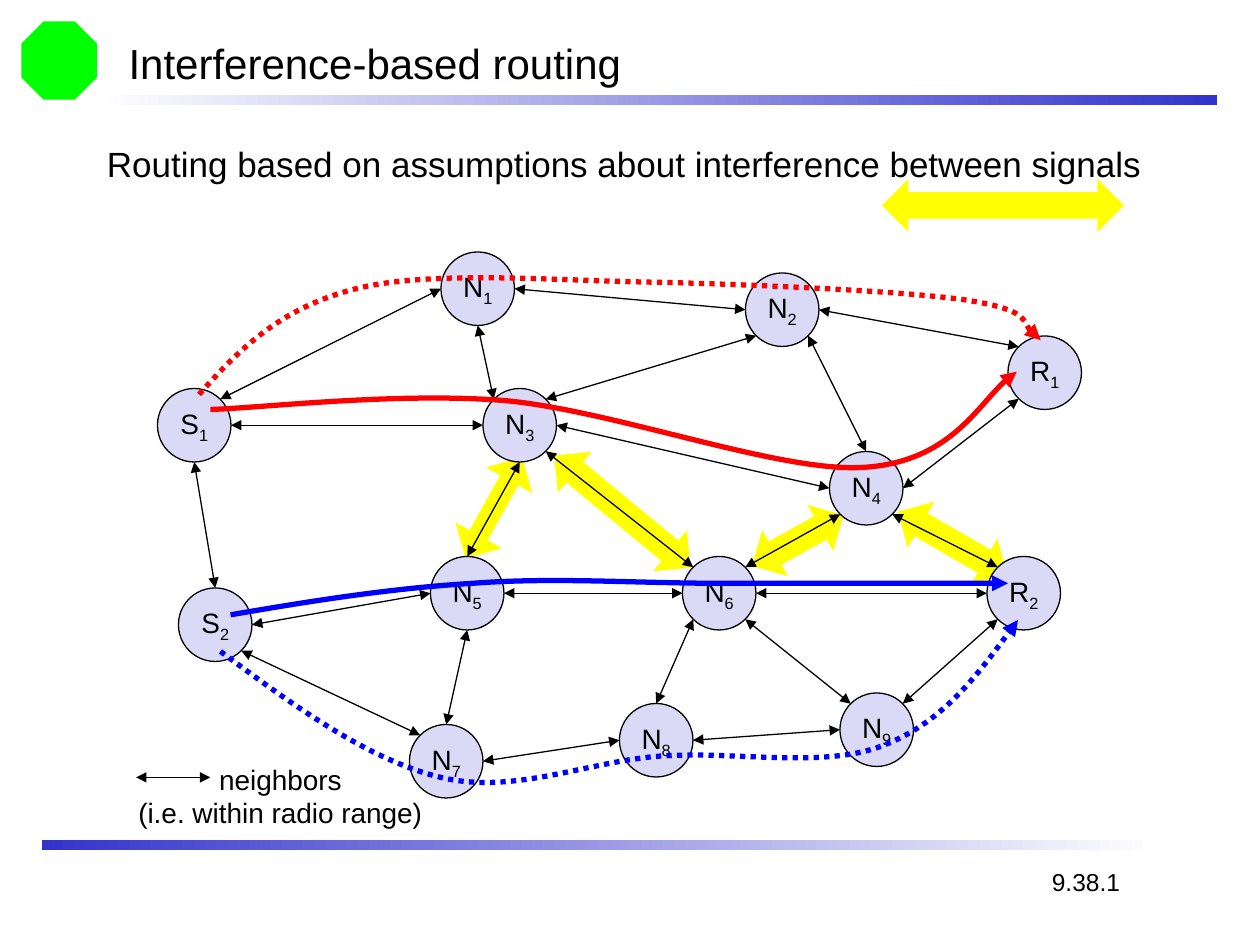
import pptx
import pptx.util
import pptx.dml.color
import pptx.enum.dml
import pptx.enum.shapes
import pptx.enum.text
import pptx.oxml
import pptx.oxml.ns
from pptx.util import Inches

COLORS = {
    "text": "000000", "rule": "3333CC", "fade": "FEFEFE", "logo": "00FF00",
    "node": "DADAF6", "interference": "FFFF00", "first": "FF0000", "second": "0000FF",
}
FONT = "Arial"
SHAPE = pptx.enum.shapes.MSO_SHAPE
ANCHOR = pptx.enum.text.MSO_ANCHOR
ALIGN = pptx.enum.text.PP_ALIGN
DOTTED = pptx.enum.dml.MSO_LINE.ROUND_DOT

# Nodes sit on a grid of twelfths of an inch
GRID = Inches(1) / 12
DIAMETER = 7
NODES = {
    "S1": (0, 13), "N5": (26, 29), "N3": (31, 13), "N4": (64, 19), "N1": (27, 0),
    "N2": (56, 2), "R1": (81, 8), "R2": (79, 29), "N6": (50, 29), "N8": (44, 43),
    "S2": (2, 32), "N9": (65, 42), "N7": (24, 45),
}
# Ellipse connection sites: index and direction from the centre
DIAGONAL = 0.5 ** 0.5
SITES = {
    "n": (0, 0, -1), "nw": (1, -DIAGONAL, -DIAGONAL),
    "w": (2, -1, 0), "sw": (3, -DIAGONAL, DIAGONAL),
    "s": (4, 0, 1), "se": (5, DIAGONAL, DIAGONAL),
    "e": (6, 1, 0), "ne": (7, DIAGONAL, -DIAGONAL),
}
LINKS = """
S1 e N3 w, N1 s N3 nw, N3 ne N2 sw, N3 e N4 w, N2 e R1 nw, N1 e N2 w,
S2 e N5 w, S2 se N7 nw, N7 e N8 w, N5 e N6 w, N8 e N9 w, N6 e R2 w,
S1 ne N1 w, N9 ne R2 sw, N5 n N3 s, N3 se N6 nw, N6 ne N4 sw, N4 se R2 nw,
N7 n N5 s, N6 sw N8 n, S2 n S1 s, N6 se N9 nw, N2 se N4 n, R1 sw N4 e
"""
# Centre x, centre y, length, rotation, head and shaft proportions
INTERFERENCES = [
    (5.08, 2.29, 0.83, 61, 0.4, 0.5),
    (2.67, 2.03, 0.92, 29.1, 0.64, 0.39),
    (3.69, 2.06, 1.4, 309.5, 0.67, 0.5),
    (6.31, 2.31, 1, 300, 0.48, 0.5),
    (6.71, -0.37, 1.92, 90, 0.92, 0.5),
]
# Start point, then three Bezier points for each segment
ROUTES = [
    ("first", None, [
        (0.42, 1.25), (0.81, 1.24), (1.9, 1.11), (2.76, 1.18), (3.63, 1.26),
        (4.93, 1.75), (5.6, 1.71), (6.28, 1.67), (6.57, 1.11), (6.82, 0.95)]),
    ("second", None, [
        (0.58, 2.88), (1.22, 2.77), (1.85, 2.67), (2.5, 2.63), (3.15, 2.58),
        (3.79, 2.63), (4.5, 2.63), (5.21, 2.63), (5.98, 2.63), (6.75, 2.63)]),
    ("second", DOTTED, [
        (0.5, 3.17), (1.08, 3.6), (1.67, 4.03), (2.25, 4.17), (2.83, 4.31),
        (3.42, 4.04), (4, 4), (4.58, 3.96), (5.28, 4.1), (5.75, 3.92),
        (6.22, 3.74), (6.53, 3.33), (6.83, 2.92)]),
    ("first", DOTTED, [
        (0.33, 1.13), (0.65, 0.77), (0.98, 0.44), (1.58, 0.29), (2.19, 0.14),
        (3.17, 0.23), (3.98, 0.24), (4.78, 0.26), (5.91, 0.31), (6.41, 0.38),
        (6.92, 0.46), (6.89, 0.64), (7.01, 0.7)]),
]


def rgb(name):
    return pptx.dml.color.RGBColor.from_string(COLORS[name])


def set_values(target, **values):
    for name, value in values.items():
        setattr(target, name, value)


def format_line(line, color, width, ends, dash=None):
    line.color.rgb = rgb(color)
    set_values(line, width=pptx.util.Pt(width), dash_style=dash)
    for end in ends:
        element = pptx.oxml.parse_xml(
            f'<a:{end} {pptx.oxml.ns.nsdecls("a")} type="triangle"/>')
        line._get_or_add_ln().append(element)


def write_text(frame, lines, size, align=ALIGN.LEFT, anchor=ANCHOR.TOP):
    set_values(frame, text="\n".join(lines), word_wrap=False, vertical_anchor=anchor)
    for paragraph in frame.paragraphs:
        paragraph.alignment = align
        set_values(paragraph.font, name=FONT, size=pptx.util.Pt(size), bold=False)
        paragraph.font.color.rgb = rgb("text")


def add_text(slide, box, lines, size, align=ALIGN.LEFT):
    textbox = slide.shapes.add_textbox(*box)
    write_text(textbox.text_frame, lines, size, align)


def add_filled(slide, preset, box, color):
    shape = slide.shapes.add_shape(preset, *box)
    shape.shadow.inherit = False
    shape.fill.solid()
    shape.fill.fore_color.rgb = rgb(color)
    shape.line.fill.background()
    return shape


def add_link(slide, start, end):
    connector = slide.shapes.add_connector(
        pptx.enum.shapes.MSO_CONNECTOR.STRAIGHT, *(round(v) for v in start + end))
    format_line(connector.line, "text", 0.75, ["headEnd", "tailEnd"])
    connector.element.spPr.append(
        pptx.oxml.parse_xml(f'<a:effectLst {pptx.oxml.ns.nsdecls("a")}/>'))
    return connector


def add_rule(slide, box, left_color, right_color):
    rule = add_filled(slide, SHAPE.RECTANGLE, box, left_color)
    rule.fill.gradient()
    rule.fill.gradient_angle = 0
    for stop, position, color in zip(rule.fill.gradient_stops, (0, 1), (left_color, right_color)):
        stop.position = position
        stop.color.rgb = rgb(color)


def add_header(slide, left, top):
    # One plain octagon stands where the emblem goes
    add_filled(slide, SHAPE.OCTAGON, (left, top, Inches(0.6), Inches(0.62)), "logo")
    add_rule(slide, (left + Inches(0.66), top + Inches(0.58), Inches(8.83), Inches(0.08)),
             "fade", "rule")
    title = slide.shapes.title
    set_values(title, left=left + Inches(0.75), top=top + Inches(0.08),
               width=Inches(8.5), height=Inches(0.5))
    write_text(title.text_frame, ["Interference-based routing"], 24, anchor=ANCHOR.MIDDLE)


def add_interference(slide, left, top, arrow):
    x, y, length, rotation, head, shaft = arrow
    width = 0.42
    box = (left + Inches(x - width / 2), top + Inches(y - length / 2),
           Inches(width), Inches(length))
    shape = add_filled(slide, SHAPE.UP_DOWN_ARROW, box, "interference")
    shape.rotation = rotation
    shape.adjustments[0], shape.adjustments[1] = head, shaft


def add_node(slide, left, top, name):
    column, row = NODES[name]
    box = [round(v) for v in (left + column * GRID, top + row * GRID,
                              DIAMETER * GRID, DIAMETER * GRID)]
    node = add_filled(slide, SHAPE.OVAL, box, "node")
    format_line(node.line, "text", 0.75, [])
    write_text(node.text_frame, [name[0]], 16, ALIGN.CENTER, ANCHOR.MIDDLE)
    subscript = node.text_frame.paragraphs[0].add_run()
    subscript.text = name[1]
    subscript.font._element.set("baseline", "-25000")
    return node


def site_point(node, site):
    _, x, y = SITES[site]
    radius = node.width / 2
    return node.left + radius * (1 + x), node.top + radius * (1 + y)


def add_route(slide, left, top, color, dash, points):
    placed = [(left + Inches(x), top + Inches(y)) for x, y in points]
    builder = slide.shapes.build_freeform(*placed[0])
    builder.add_line_segments(placed[1:], close=False)
    route = builder.convert_to_shape()
    route.shadow.inherit = False
    route.fill.background()
    format_line(route.line, color, 3, ["tailEnd"], dash)
    # Join every three points into one Bezier segment
    qn = pptx.oxml.ns.qn
    outline = next(route.element.iter(qn("a:path")))
    segments = outline.findall(qn("a:lnTo"))
    for first in range(0, len(segments), 3):
        curve = pptx.oxml.parse_xml(f'<a:cubicBezTo {pptx.oxml.ns.nsdecls("a")}/>')
        for segment in segments[first:first + 3]:
            curve.append(segment[0])
            outline.remove(segment)
        outline.append(curve)


def add_network(slide, left, top):
    for arrow in INTERFERENCES:
        add_interference(slide, left, top, arrow)
    nodes = {name: add_node(slide, left, top, name) for name in NODES}
    for link in LINKS.split(","):
        start, start_site, end, end_site = link.split()
        connector = add_link(slide, site_point(nodes[start], start_site),
                             site_point(nodes[end], end_site))
        properties = connector.element.nvCxnSpPr.cNvCxnSpPr
        set_values(properties.get_or_add_stCxn(), id=nodes[start].shape_id,
                   idx=SITES[start_site][0])
        set_values(properties.get_or_add_endCxn(), id=nodes[end].shape_id,
                   idx=SITES[end_site][0])
    for color, dash, points in ROUTES:
        add_route(slide, left, top, color, dash, points)


def add_legend(slide, left, top):
    y = top + Inches(0.17)
    add_link(slide, (left + Inches(0.18), y), (left + Inches(0.77), y))
    add_text(slide, (left, top, Inches(2.65), Inches(0.64)),
             ["neighbors", "(i.e. within radio range)"], 16, ALIGN.CENTER)


def add_footer(slide, left, top):
    add_rule(slide, (left, top, Inches(8.83), Inches(0.08)), "rule", "fade")
    add_text(slide, (left + Inches(7.92), top + Inches(0.16), Inches(0.74), Inches(0.34)),
             ["9.38.1"], 14)


def main():
    presentation = pptx.Presentation()
    set_values(presentation, slide_width=Inches(10), slide_height=Inches(7.5))
    slide = presentation.slides.add_slide(presentation.slide_layouts[5])
    add_header(slide, Inches(0.17), Inches(0.17))
    add_network(slide, Inches(1.25), Inches(2))
    add_text(slide, (Inches(0.75), Inches(1.08), Inches(8.5), Inches(0.43)),
             ["Routing based on assumptions about interference between signals"], 20)
    add_legend(slide, Inches(0.9), Inches(6))
    add_footer(slide, Inches(0.33), Inches(6.67))
    presentation.save("out.pptx")


if __name__ == "__main__":
    main()
